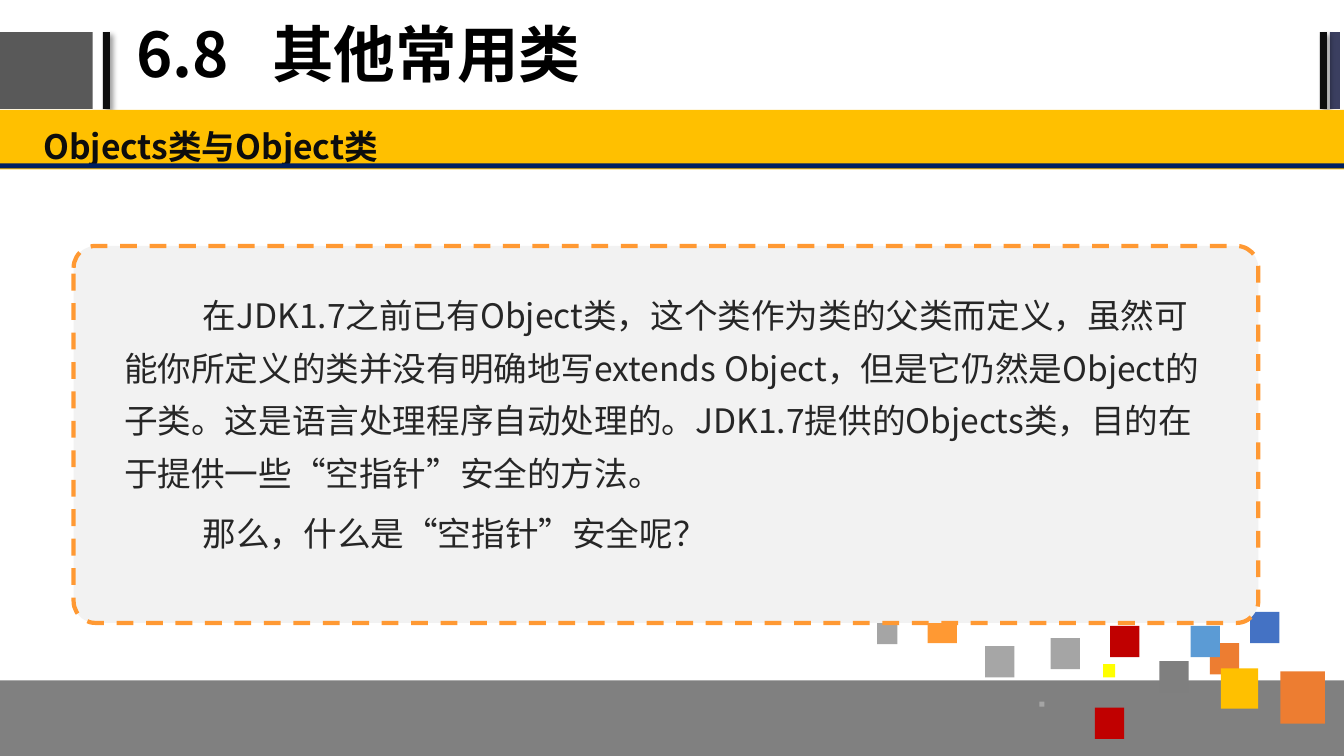
from lxml import etree
from pptx import Presentation
from pptx.dml.color import RGBColor
from pptx.enum.dml import MSO_LINE
from pptx.enum.shapes import MSO_SHAPE
from pptx.enum.text import MSO_ANCHOR, PP_ALIGN
from pptx.oxml.ns import qn
from pptx.util import Inches, Pt

RECT, ROUND = MSO_SHAPE.RECTANGLE, MSO_SHAPE.ROUNDED_RECTANGLE
DASH = MSO_LINE.DASH
MIDDLE, TOP, LEFT = MSO_ANCHOR.MIDDLE, MSO_ANCHOR.TOP, PP_ALIGN.LEFT
FACE = "Noto Sans CJK SC"

# Left, top, width, height, colour
TILES = [
    (12.7, 6.66, 0.44, 0.52, "ED7D31"),
    (12, 6.38, 0.29, 0.31, "ED7D31"),
    (12.11, 6.63, 0.37, 0.4, "FFC000"),
    (11.81, 6.21, 0.29, 0.31, "5B9BD5"),
    (10.31, 6.96, 0.05, 0.05, "A5A5A5"),
    (12.4, 6.07, 0.29, 0.31, "4472C4"),
    (10.94, 6.59, 0.12, 0.13, "FFFF00"),
    (10.42, 6.33, 0.29, 0.31, "A5A5A5"),
    (11.01, 6.21, 0.29, 0.31, "C00000"),
    (11.5, 6.56, 0.29, 0.31, "7F7F7F"),
    (10.86, 7.02, 0.29, 0.31, "C00000"),
    (8.7, 6.18, 0.2, 0.21, "A5A5A5"),
    (9.2, 6.07, 0.29, 0.31, "FF9933"),
    (9.77, 6.41, 0.29, 0.31, "A6A6A6"),
]
BODY = [
    "在JDK1.7之前已有Object类，这个类作为类的父类而定义，"
    "虽然可能你所定义的类并没有明确地写extends Object，"
    "但是它仍然是Object的子类。这是语言处理程序自动处理的。"
    "JDK1.7提供的Objects类，目的在于提供一些“空指针”安全的方法。",
    "那么，什么是“空指针”安全呢？",
]


def color(text):
    return RGBColor.from_string(text)


def add_box(slide, x, y, w, h, fill, kind=RECT):
    box = slide.shapes.add_shape(kind, Inches(x), Inches(y), Inches(w), Inches(h))
    box.shadow.inherit = False
    box.fill.solid()
    box.fill.fore_color.rgb = color(fill)
    box.line.fill.background()
    return box


def cast_shadow(box):
    effects = box.element.spPr.find(qn("a:effectLst"))
    outer = etree.SubElement(
        effects, qn("a:outerShdw"), blurRad=str(Pt(4)), dist=str(Pt(3)), dir="2700000"
    )
    tint = etree.SubElement(outer, qn("a:srgbClr"), val="000000")
    etree.SubElement(tint, qn("a:alpha"), val="40000")


def style(para, size, tint, space, bold=False):
    para.alignment = LEFT
    para.line_spacing = space
    font = para.font
    font.size, font.bold, font.name = Pt(size), bold, FACE
    font.color.rgb = color(tint)
    props = para._p.pPr.find(qn("a:defRPr"))
    etree.SubElement(props, qn("a:ea"), typeface=FACE)


def set_tab(para, stop):
    tabs = etree.Element(qn("a:tabLst"))
    etree.SubElement(tabs, qn("a:tab"), pos=str(Inches(stop)), algn="l")
    para._p.pPr.find(qn("a:defRPr")).addprevious(tabs)


def add_title(slide, text):
    title = slide.shapes.title
    title.left, title.top = Inches(1.25), Inches(0.02)
    title.width, title.height = Inches(8.47), Inches(1.1)
    frame = title.text_frame
    frame.text = text
    frame.vertical_anchor = MIDDLE
    para = frame.paragraphs[0]
    style(para, 44, "000000", 0.9, True)
    set_tab(para, 1.35)


def add_text(slide, x, y, w, h, lines, tint, space, bold=False, indent=0):
    box = slide.shapes.add_textbox(Inches(x), Inches(y), Inches(w), Inches(h))
    frame = box.text_frame
    frame.word_wrap = True
    frame.vertical_anchor = TOP
    frame.margin_left = frame.margin_right = Inches(0.13)
    frame.margin_top = frame.margin_bottom = Inches(0.07)
    frame.text = "\n".join(lines)
    for para in frame.paragraphs:
        style(para, 24, tint, space, bold)
        para.space_before = Pt(5.5)
        props = para._p.pPr
        props.set("marL", "0")
        props.set("indent", str(Inches(indent)))


def add_header(slide):
    add_box(slide, -0.02, 0.32, 0.94, 0.76, "595959")
    add_box(slide, 13.19, 0.32, 0.1, 0.76, "3B3F60")
    for x in (1.02, 13.09):
        cast_shadow(add_box(slide, x, 0.32, 0.07, 0.76, "0D0D0D"))
    add_title(slide, "6.8\t其他常用类")


def add_footer(slide):
    add_box(slide, 0, 6.75, 13.33, 0.76, "808080")
    for tile in TILES:
        add_box(slide, *tile)


def add_band(slide):
    add_box(slide, -0.05, 1.09, 13.4, 0.59, "FFC000")
    add_text(slide, 0.3, 1.1, 13.06, 0.58, ["Objects类与Object类"], "0D0D0D", 1.2, True)
    add_box(slide, 0, 1.62, 13.33, 0.05, "002060")


def add_panel(slide):
    panel = add_box(slide, 0.73, 2.44, 11.75, 3.74, "F2F2F2", ROUND)
    panel.adjustments[0] = 0.058
    panel.line.color.rgb = color("FF9933")
    panel.line.width = Pt(3)
    panel.line.dash_style = DASH
    add_text(slide, 1.1, 2.74, 11.12, 3, BODY, "262626", 1.3, indent=0.78)


def main():
    deck = Presentation()
    deck.slide_width, deck.slide_height = Inches(13.33), Inches(7.5)
    slide = deck.slides.add_slide(deck.slide_layouts[5])
    add_header(slide)
    add_footer(slide)
    add_band(slide)
    add_panel(slide)
    deck.save("out.pptx")


if __name__ == "__main__":
    main()
